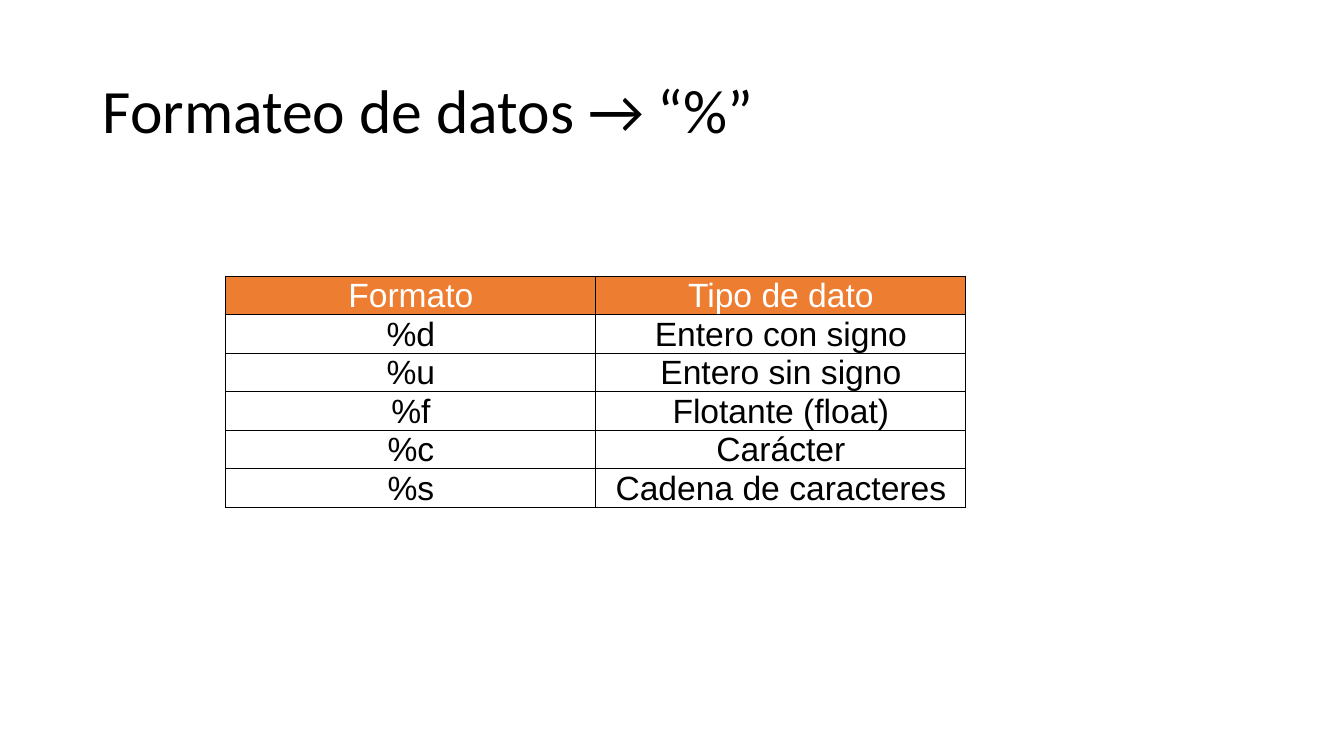
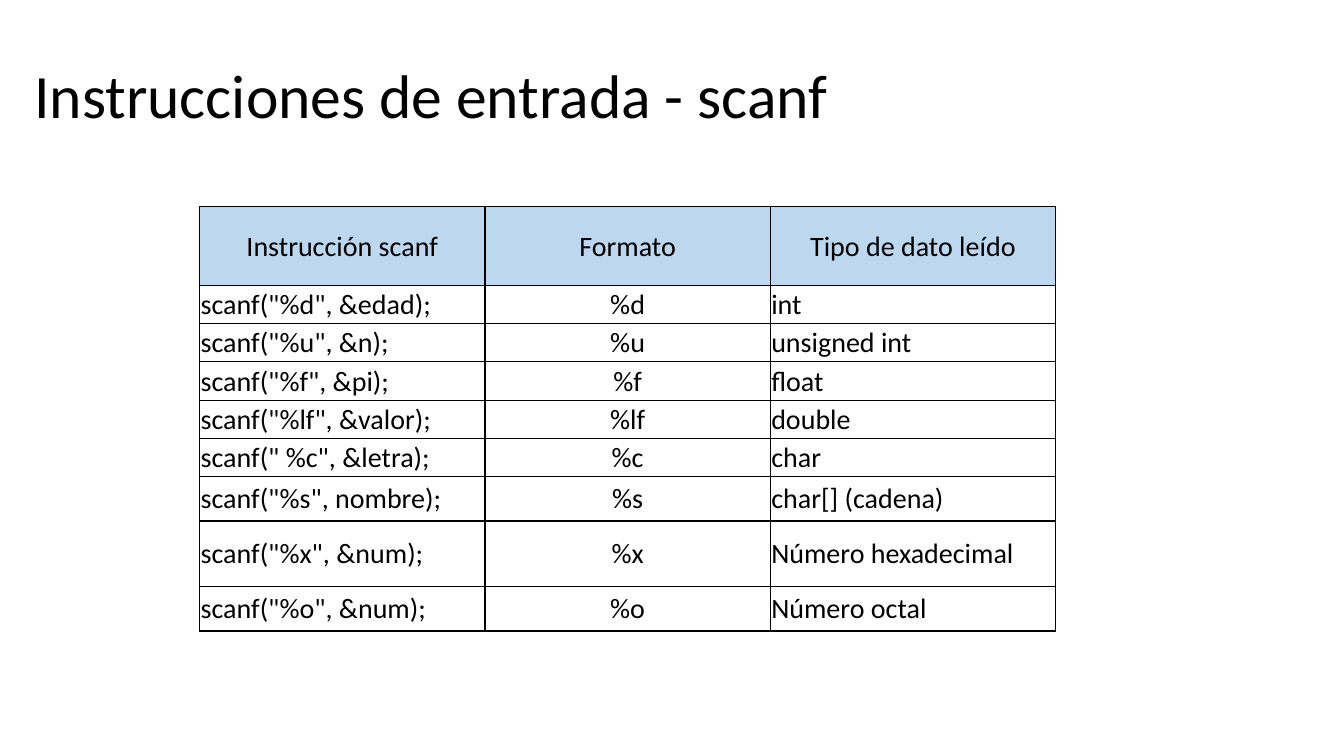
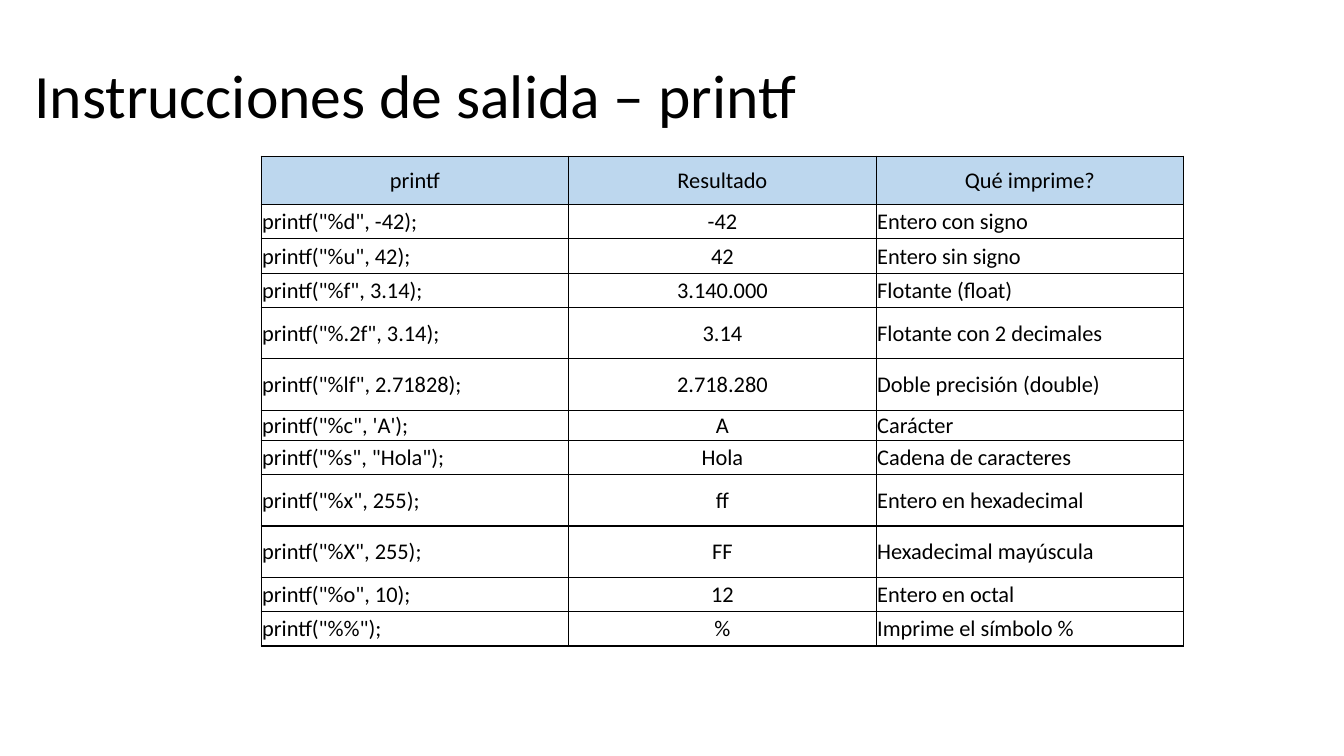
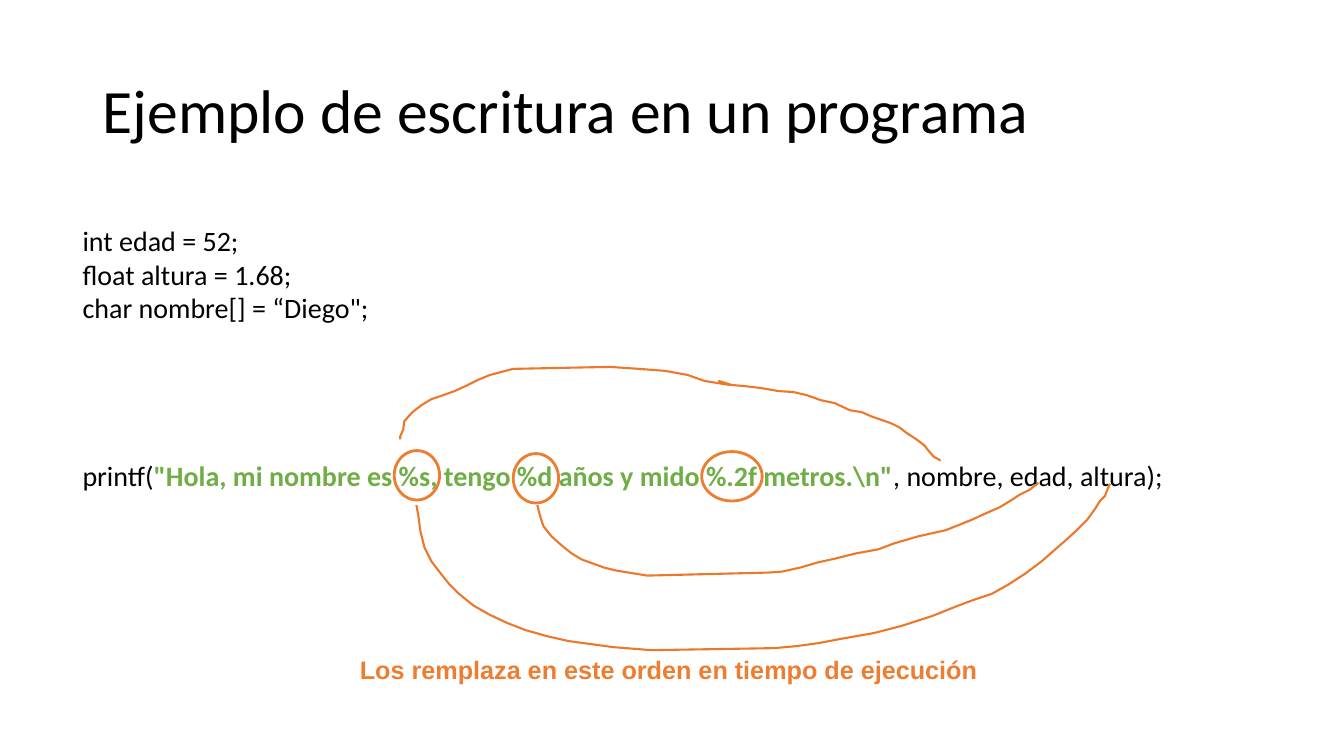
from lxml.etree import SubElement
from pptx import Presentation
from pptx.dml.color import RGBColor
from pptx.enum.shapes import MSO_SHAPE
from pptx.enum.text import MSO_ANCHOR, PP_ALIGN
from pptx.oxml.ns import qn
from pptx.util import Inches, Pt

BLACK = RGBColor(0x00, 0x00, 0x00)
WHITE = RGBColor(0xFF, 0xFF, 0xFF)
ORANGE = RGBColor(0xED, 0x7D, 0x31)
INK = RGBColor(0xEC, 0x79, 0x2B)
GREEN = RGBColor(0x70, 0xAD, 0x47)
LIGHT_BLUE = RGBColor(0xBD, 0xD7, 0xEE)

LEFT, CENTER = PP_ALIGN.LEFT, PP_ALIGN.CENTER
TITLE_ONLY = 5
HIGH_TITLE = (0.24, 0.25)
LOW_TITLE = (0.92, 0.4)

FORMAT_ROWS = [
    ("Formato", "Tipo de dato"),
    ("%d", "Entero con signo"),
    ("%u", "Entero sin signo"),
    ("%f", "Flotante (float)"),
    ("%c", "Carácter"),
    ("%s", "Cadena de caracteres"),
]
SCANF_ROWS = [
    ("Instrucción scanf", "Formato", "Tipo de dato leído"),
    ('scanf("%d", &edad);', "%d", "int"),
    ('scanf("%u", &n);', "%u", "unsigned int"),
    ('scanf("%f", &pi);', "%f", "float"),
    ('scanf("%lf", &valor);', "%lf", "double"),
    ('scanf(" %c", &letra);', "%c", "char"),
    ('scanf("%s", nombre);', "%s", "char[] (cadena)"),
    ('scanf("%x", &num);', "%x", "Número hexadecimal"),
    ('scanf("%o", &num);', "%o", "Número octal"),
]
PRINTF_ROWS = [
    ("printf", "Resultado", "Qué imprime?"),
    ('printf("%d", -42);', "-42", "Entero con signo"),
    ('printf("%u", 42);', "42", "Entero sin signo"),
    ('printf("%f", 3.14);', "3.140.000", "Flotante (float)"),
    ('printf("%.2f", 3.14);', "3.14", "Flotante con 2 decimales"),
    ('printf("%lf", 2.71828);', "2.718.280", "Doble precisión (double)"),
    ("printf(\"%c\", 'A');", "A", "Carácter"),
    ('printf("%s", "Hola");', "Hola", "Cadena de caracteres"),
    ('printf("%x", 255);', "ff", "Entero en hexadecimal"),
    ('printf("%X", 255);', "FF", "Hexadecimal mayúscula"),
    ('printf("%o", 10);', "12", "Entero en octal"),
    ('printf("%%");', "%", "Imprime el símbolo %"),
]

NAME_CURVE = [
    (9.33, 4.57), (9.26, 4.53), (9.2, 4.46), (9.17, 4.42), (9.09, 4.36), (9, 4.3),
    (8.92, 4.24), (8.84, 4.2), (8.64, 4.13), (8.55, 4.09), (8.43, 4.07), (8.28, 4),
    (8.14, 3.97), (8, 3.92), (7.87, 3.89), (7.72, 3.88), (7.55, 3.85), (7.38, 3.83),
    (7.26, 3.82), (7.13, 3.78), (7.24, 3.82), (6.99, 3.78), (6.82, 3.72), (6.6, 3.68),
    (6.34, 3.66), (6.05, 3.64), (5.09, 3.66), (4.86, 3.72), (4.74, 3.77), (4.64, 3.82),
    (4.51, 3.88), (4.37, 3.93), (4.28, 3.96), (4.18, 4.02), (4.09, 4.09), (4.01, 4.18),
    (4, 4.26), (3.97, 4.33), (3.97, 4.36),
]
AGE_CURVE = [
    (5.33, 5.01), (5.35, 5.09), (5.37, 5.16), (5.39, 5.22), (5.47, 5.32), (5.57, 5.41),
    (5.67, 5.49), (5.77, 5.55), (5.88, 5.59), (5.99, 5.63), (6.11, 5.66), (6.42, 5.71),
    (7.63, 5.68), (7.76, 5.67), (7.94, 5.63), (8.11, 5.58), (8.29, 5.54), (8.49, 5.49),
    (8.71, 5.45), (8.87, 5.39), (9.11, 5.32), (9.38, 5.26), (9.53, 5.2), (9.63, 5.16),
    (9.74, 5.11), (9.92, 5.03), (10.05, 4.95), (10.11, 4.91), (10.21, 4.86), (10.3, 4.79),
]
HEIGHT_CURVE = [
    (4.13, 5.01), (4.15, 5.12), (4.17, 5.27), (4.21, 5.43), (4.28, 5.57), (4.38, 5.7),
    (4.46, 5.8), (4.55, 5.89), (4.7, 6.01), (4.86, 6.1), (5.03, 6.18), (5.21, 6.25),
    (5.42, 6.31), (5.64, 6.36), (5.86, 6.39), (6.08, 6.42), (6.46, 6.45), (7.68, 6.43),
    (7.9, 6.41), (8.12, 6.38), (8.33, 6.34), (8.67, 6.28), (8.94, 6.21), (9.25, 6.11),
    (9.5, 6.01), (9.66, 5.95), (9.84, 5.89), (10, 5.8), (10.17, 5.69), (10.33, 5.57),
    (10.57, 5.36), (10.68, 5.26), (10.78, 5.16), (10.86, 5.05), (10.91, 4.97),
    (10.96, 4.92), (10.99, 4.84), (11.01, 4.8),
]


class Deck:
    """Holds the presentation, its style and the slide being filled."""

    def __init__(self):
        self.presentation = Presentation()
        self.presentation.slide_width = Inches(13.33)
        self.presentation.slide_height = Inches(7.5)
        self.slide = None

    def add_slide(self, title, corner):
        layout = self.presentation.slide_layouts[TITLE_ONLY]
        self.slide = self.presentation.slides.add_slide(layout)
        shape = self.slide.shapes.title
        self.place(shape, *corner, 11.5, 1.45)
        shape.text_frame.vertical_anchor = MSO_ANCHOR.MIDDLE
        paragraph = shape.text_frame.paragraphs[0]
        paragraph.alignment = LEFT
        paragraph.line_spacing = 0.9
        self.add_run(paragraph, title, 44)

    def place(self, shape, left, top, width, height):
        box = {"left": left, "top": top, "width": width, "height": height}
        for name, value in box.items():
            setattr(shape, name, Inches(value))

    def add_run(self, paragraph, text, size, color=BLACK, font="Calibri", bold=False):
        run = paragraph.add_run()
        run.text = text
        for name, value in {"name": font, "size": Pt(size), "bold": bold}.items():
            setattr(run.font, name, value)
        run.font.color.rgb = color

    def add_text(self, box, lines, size, wrap=True, **style):
        """Each line is a list of (text, style) runs."""
        frame = self.slide.shapes.add_textbox(*map(Inches, box)).text_frame
        frame.word_wrap = wrap
        for index, runs in enumerate(lines):
            paragraph = frame.add_paragraph() if index else frame.paragraphs[0]
            for text, run_style in runs:
                self.add_run(paragraph, text, size, **{**style, **run_style})
        return frame

    def add_table(self, corner, column_width, heights, rows, size, alignments,
                  header_fill, header_color=BLACK, font="Calibri"):
        columns = len(rows[0])
        box = (*corner, column_width * columns, sum(heights))
        table = self.slide.shapes.add_table(len(rows), columns, *map(Inches, box)).table
        table.first_row = table.horz_banding = False
        for column in table.columns:
            column.width = Inches(column_width)
        for row_index, (row, height, texts) in enumerate(zip(table.rows, heights, rows)):
            row.height = Inches(height)
            is_header = row_index == 0
            for cell, text, alignment in zip(row.cells, texts, alignments):
                self.format_cell(cell, header_fill if is_header else None)
                paragraph = cell.text_frame.paragraphs[0]
                paragraph.alignment = CENTER if is_header else alignment
                color = header_color if is_header else BLACK
                self.add_run(paragraph, text, size, color, font)

    def format_cell(self, cell, fill):
        cell_format = {
            "margin_left": Inches(0.01), "margin_right": Inches(0.01),
            "margin_top": Inches(0.01), "margin_bottom": 0,
            "vertical_anchor": MSO_ANCHOR.MIDDLE,
        }
        for name, value in cell_format.items():
            setattr(cell, name, value)
        properties = cell._tc.get_or_add_tcPr()
        for side in ("a:lnL", "a:lnR", "a:lnT", "a:lnB"):
            border = SubElement(properties, qn(side), w=str(Pt(1)))
            solid = SubElement(border, qn("a:solidFill"))
            SubElement(solid, qn("a:srgbClr"), val=str(BLACK))
        if fill is None:
            cell.fill.background()
        else:
            cell.fill.solid()
            cell.fill.fore_color.rgb = fill

    def outline(self, shape, color, width):
        shape.shadow.inherit = False
        shape.fill.background()
        shape.line.color.rgb = color
        shape.line.width = Pt(width)

    def add_ring(self, left, top, width):
        box = map(Inches, (left, top, width, 0.49))
        self.outline(self.slide.shapes.add_shape(MSO_SHAPE.OVAL, *box), ORANGE, 2)

    def add_curve(self, points):
        start, *others = [(Inches(x), Inches(y)) for x, y in points]
        builder = self.slide.shapes.build_freeform(*start)
        builder.add_line_segments(others, close=False)
        self.outline(builder.convert_to_shape(), INK, 1.5)


def main():
    deck = Deck()

    deck.add_slide("Formateo de datos → “%”", LOW_TITLE)
    deck.add_table((2.24, 2.74), 3.67, [0.38] * 6, FORMAT_ROWS, 24, (CENTER, CENTER),
                   ORANGE, WHITE, "Arial")

    code_columns = (LEFT, CENTER, LEFT)
    deck.add_slide("Instrucciones de entrada - scanf", HIGH_TITLE)
    deck.add_table((1.98, 2.05), 2.83, [0.78] + [0.38] * 5 + [0.44, 0.65, 0.44],
                   SCANF_ROWS, 20, code_columns, LIGHT_BLUE)

    deck.add_slide("Instrucciones de salida – printf", HIGH_TITLE)
    printf_heights = [0.48] + [0.34] * 3 + [0.51] * 2 + [0.3, 0.34] + [0.51] * 2 + [0.34] * 2
    deck.add_table((2.59, 1.55), 3.05, printf_heights, PRINTF_ROWS, 16, code_columns,
                   LIGHT_BLUE)

    deck.add_slide("Ejemplo de escritura en un programa", LOW_TITLE)
    message = r'"Hola, mi nombre es %s, tengo %d años y mido %.2f metros.\n"'
    code = deck.add_text((0.72, 2.17, 11.82, 2.79), [
        [("int edad = 52;", {})],
        [("float altura = 1.68;", {})],
        [('char nombre[] = “Diego";', {})],
        [("printf(", {}), (message, {"color": GREEN, "bold": True}),
         (", nombre, edad, altura);", {})],
    ], 20)
    code.paragraphs[-1].space_before = Pt(96)
    for ring in ((3.91, 4.47, 0.45), (5.09, 4.5, 0.45), (6.96, 4.48, 0.6)):
        deck.add_ring(*ring)
    for curve in (NAME_CURVE, AGE_CURVE, HEIGHT_CURVE):
        deck.add_curve(curve)
    deck.add_text((3.47, 6.44, 6.39, 0.4),
                  [[("Los remplaza en este orden en tiempo de ejecución", {})]],
                  18, wrap=False, color=ORANGE, font="Arial", bold=True)

    deck.presentation.save("out.pptx")


if __name__ == "__main__":
    main()
